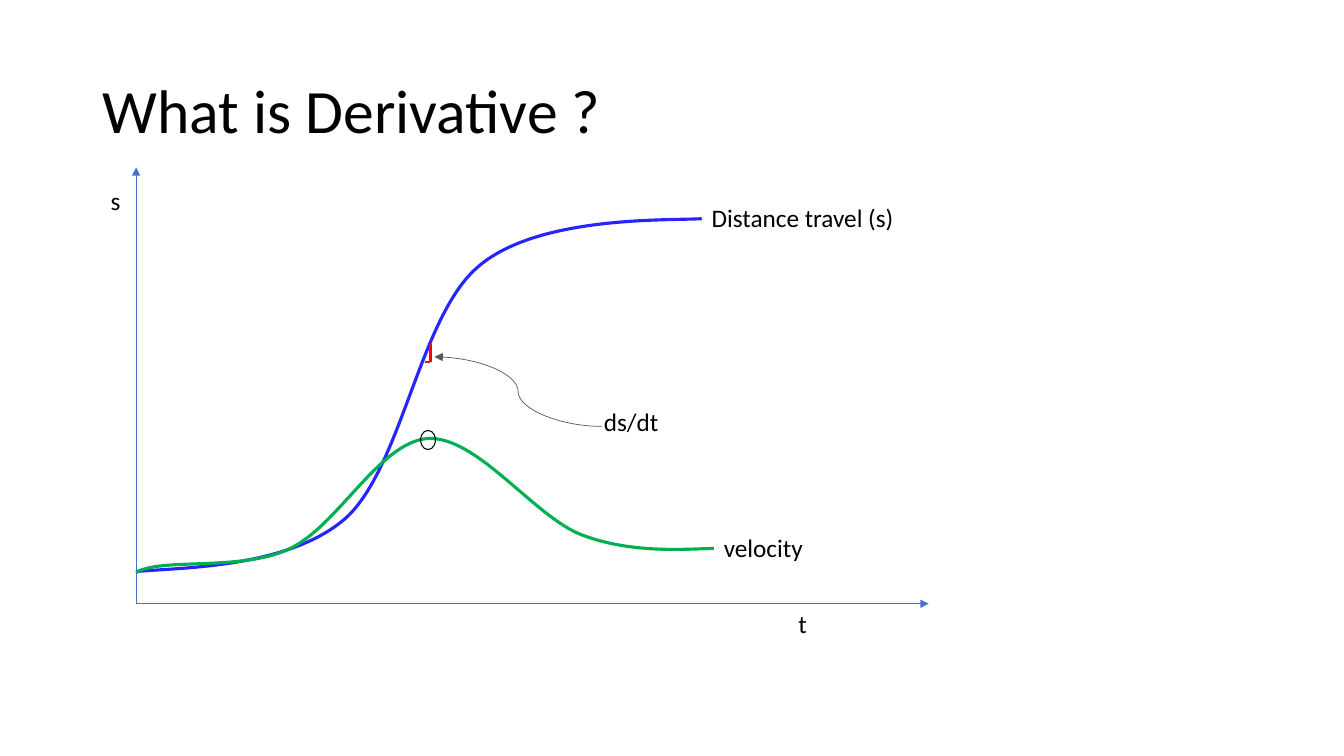
from lxml.etree import SubElement
from pptx import Presentation
from pptx.dml.color import RGBColor
from pptx.enum.shapes import MSO_CONNECTOR as CONNECTOR, MSO_SHAPE as SHAPE
from pptx.enum.text import MSO_ANCHOR as ANCHOR, MSO_AUTO_SIZE as AUTO, PP_ALIGN as ALIGN
from pptx.oxml.ns import qn
from pptx.util import Pt

SCALE = 9144
BLACK, AXIS, GREY, RED = "000000", "4472C4", "595959", "FF0000"
DISTANCE, VELOCITY = "2525FF", "00B050"


def px(n):
    """Turn px (100 to the inch) into EMU."""
    return n * SCALE


def rgb(value):
    """Turn a hex string into a colour."""
    return RGBColor.from_string(value)


def write(tf, text, size=18, color=BLACK, spacing=None, anchor=ANCHOR.TOP,
          wrap=False, auto=AUTO.SHAPE_TO_FIT_TEXT):
    """Fill a text frame with one formatted paragraph."""
    tf.word_wrap, tf.auto_size, tf.vertical_anchor = wrap, auto, anchor
    p = tf.paragraphs[0]
    p.alignment, p.line_spacing = ALIGN.LEFT, spacing
    r = p.add_run()
    r.text = text
    r.font.name, r.font.size = "Calibri", Pt(size)
    r.font.color.rgb = rgb(color)


def add_label(shapes, text, x, y, w, h=40):
    """Add a one-line text label."""
    write(shapes.add_textbox(px(x), px(y), px(w), px(h)).text_frame, text)


def outline(sp, color, width):
    """Set the colour and width of a line."""
    sp.line.color.rgb, sp.line.width = rgb(color), Pt(width)


def add_line(shapes, start, end, color, width, kind=CONNECTOR.STRAIGHT, arrow=False):
    """Add a connector, with an arrowhead at its end if asked."""
    line = shapes.add_connector(kind, *map(px, start + end))
    outline(line, color, width)
    SubElement(line._element.spPr, qn("a:effectLst"))
    if arrow:
        SubElement(line.line._get_or_add_ln(), qn("a:tailEnd"), type="triangle")


def add_curve(shapes, left, top, points, color):
    """Draw a Bezier curve through a start point and triples of control points."""
    builder = shapes.build_freeform(*points[0], scale=SCALE)
    builder.add_line_segments(points[1:], close=False)
    sp = builder.convert_to_shape(px(left), px(top))
    segments = list(sp._element.iter(qn("a:lnTo")))
    for i in range(0, len(segments), 3):
        bezier = SubElement(segments[i].getparent(), qn("a:cubicBezTo"))
        for segment in segments[i:i + 3]:
            bezier.append(segment[0])
            segment.getparent().remove(segment)
    sp.shadow.inherit = False
    sp.fill.background()
    outline(sp, color, 2.25)


def add_title(slide, x, y, w, h):
    """Place and write the slide title."""
    title = slide.shapes.title
    title.left, title.top, title.width, title.height = map(px, (x, y, w, h))
    write(title.text_frame, "What is Derivative ?", size=44, spacing=0.9,
          anchor=ANCHOR.MIDDLE, wrap=True, auto=AUTO.NONE)


def add_plot(slide, x, y, w, h):
    """Draw the axes, both curves, the slope marks and their labels."""
    shapes = slide.shapes

    def at(dx, dy):
        return x + dx, y + dy

    for end in ((w, h), (0, 0)):
        add_line(shapes, at(0, h), at(*end), AXIS, 0.5, arrow=True)

    distance = [(0, 401), (44, 397), (151, 398), (208, 348), (264, 297),
                (281, 147), (340, 98), (399, 48), (525, 53), (561, 51)]
    velocity = [(0, 402), (24, 387), (103, 401), (151, 379), (200, 357),
                (241, 272), (290, 269), (339, 267), (396, 348), (443, 365),
                (491, 383), (543, 379), (573, 378)]
    for points, color in ((distance, DISTANCE), (velocity, VELOCITY)):
        add_curve(shapes, x, y, points, color)

    slope = shapes.add_group_shape().shapes
    add_line(slope, at(287, 193), at(292, 193), RED, 1.5)
    add_line(slope, at(292, 193), at(292, 175), RED, 2.25)
    add_line(shapes, at(462, 257), at(296, 188), GREY, 0.5, CONNECTOR.CURVE, arrow=True)

    labels = [("velocity", 573, 357, 99), ("Distance travel (s)", 561, 30, 203),
              ("ds/dt", 454, 232, 75), ("s", -35, 13, 30), ("t", 647, h, 29)]
    for text, dx, dy, width in labels:
        add_label(shapes, text, *at(dx, dy), width)

    peak = shapes.add_shape(SHAPE.OVAL, *map(px, at(282, 261) + (15, 19)))
    peak.shadow.inherit = False
    peak.fill.background()
    outline(peak, BLACK, 0.75)


def main():
    """Build the slide and save it."""
    prs = Presentation()
    prs.slide_width, prs.slide_height = px(1333), px(750)
    slide = prs.slides.add_slide(prs.slide_layouts[5])
    add_title(slide, 92, 40, 1150, 145)
    add_plot(slide, 135, 166, 786, 433)
    prs.save("out.pptx")


if __name__ == "__main__":
    main()
